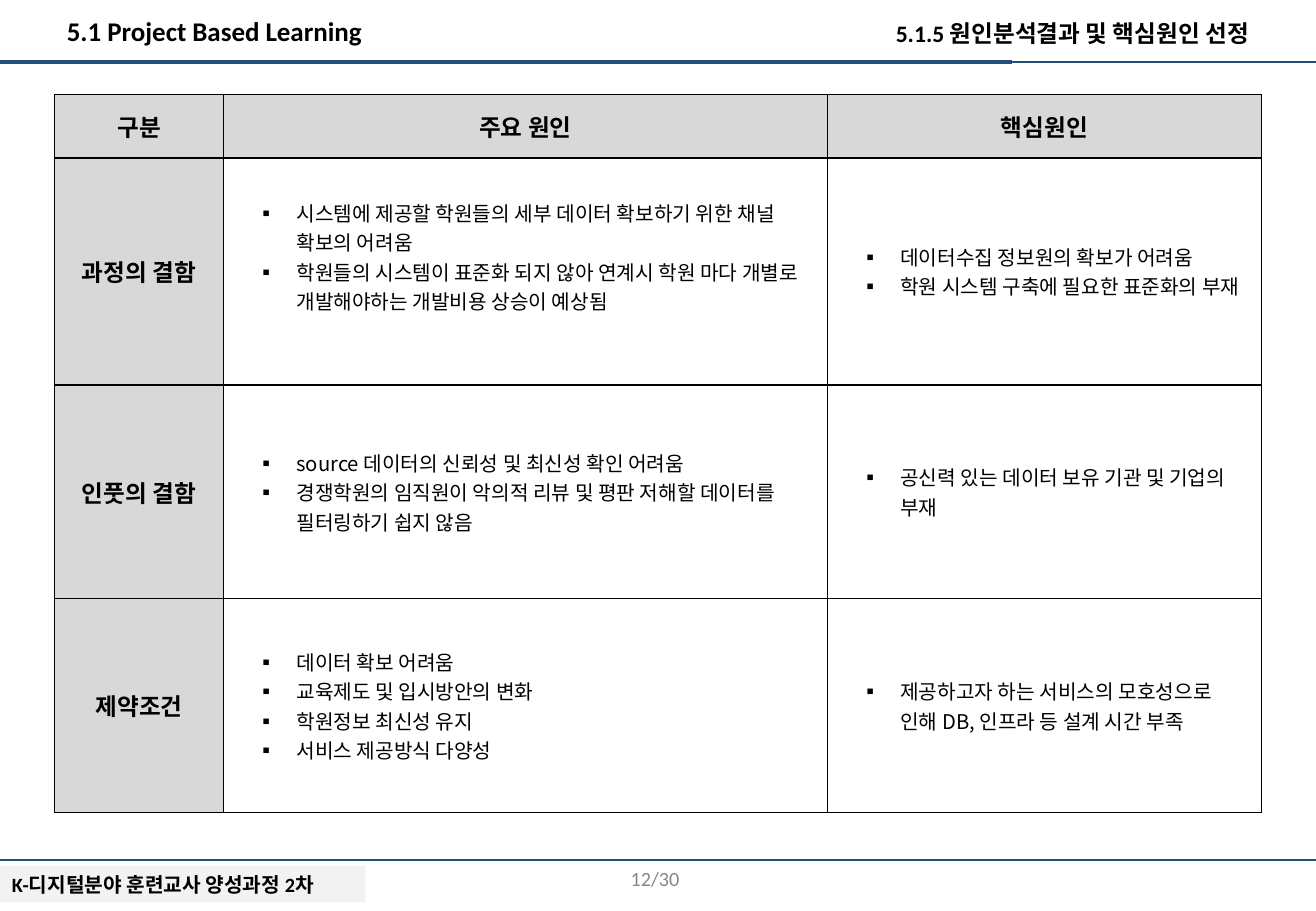
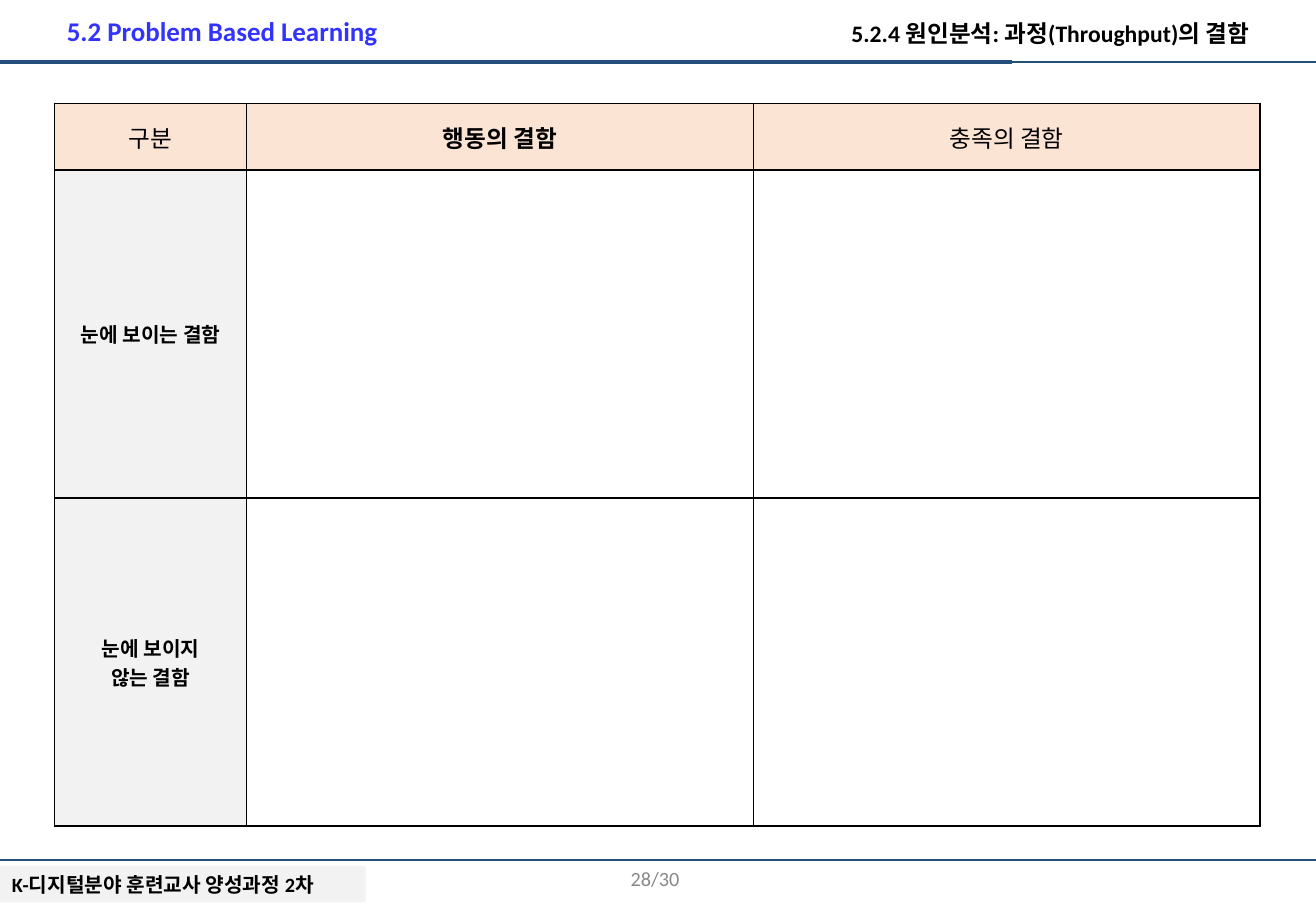
from lxml import etree
from pptx import Presentation
from pptx.dml.color import RGBColor
from pptx.enum.shapes import MSO_CONNECTOR, MSO_SHAPE
from pptx.enum.text import MSO_ANCHOR, MSO_AUTO_SIZE, PP_ALIGN
from pptx.oxml.ns import qn
from pptx.util import Inches, Pt

LEFT, MID, RIGHT = PP_ALIGN.LEFT, PP_ALIGN.CENTER, PP_ALIGN.RIGHT
TOP, MIDDLE = MSO_ANCHOR.TOP, MSO_ANCHOR.MIDDLE
NO_FIT = MSO_AUTO_SIZE.NONE
RECT, STRAIGHT = MSO_SHAPE.RECTANGLE, MSO_CONNECTOR.STRAIGHT

BLACK = RGBColor(0x00, 0x00, 0x00)
WHITE = RGBColor(0xFF, 0xFF, 0xFF)
NAVY = RGBColor(0x24, 0x4F, 0x7A)
BLUE = RGBColor(0x33, 0x33, 0xFF)
GRAY = RGBColor(0x88, 0x88, 0x88)
SILVER = RGBColor(0xD8, 0xD8, 0xD8)
PALE = RGBColor(0xF2, 0xF2, 0xF2)
PEACH = RGBColor(0xFB, 0xE4, 0xD4)

LATIN, HEAD, KOREAN = "Calibri", "Arial", "Noto Sans CJK KR"
WIDTH, HEIGHT = 10.83, 7.5
EDGE = 0.45
COURSE = "K-디지털분야 훈련교사 양성과정 2차"
PAGES = 30


class Deck:
    """Holds the style and the current slide."""

    def __init__(self):
        self.prs = Presentation()
        self.prs.slide_width = Inches(WIDTH)
        self.prs.slide_height = Inches(HEIGHT)
        self.slide = None

    def start(self, title, topic, page, color=BLACK):
        """Open a slide with its header and footer."""
        self.slide = self.prs.slides.add_slide(self.prs.slide_layouts[5])

        # Footer band and rules
        band = self.slide.shapes.add_shape(
            RECT, 0, Inches(7.13), Inches(3.01), Inches(0.3))
        band.shadow.inherit = False
        band.fill.solid()
        band.fill.fore_color.rgb = PALE
        band.line.fill.background()
        self.set_text(band.text_frame, COURSE, 12, bold=True)
        self.rule(0.51, WIDTH, 0.75)
        self.rule(0.51, 8.33, 2.5)
        self.rule(7.08, WIDTH, 0.75)

        # Title, topic and page number
        head = self.slide.shapes.title
        head.left, head.top = Inches(EDGE), Inches(0.07)
        head.width, head.height = Inches(3.29), Inches(0.37)
        self.set_text(head.text_frame, title, 16, color=color, bold=True)
        self.label(topic, 6.46, 0.11, 3.92, 0.34, 14, bold=True)
        self.label(f"{page}/{PAGES}", 3.25, 7.03, 2.44, 0.4, 12,
                   color=GRAY, anchor=MIDDLE)

    def rule(self, y, end, weight):
        line = self.slide.shapes.add_connector(
            STRAIGHT, 0, Inches(y), Inches(end), Inches(y))
        line.line.color.rgb = NAVY
        line.line.width = Pt(weight)
        etree.SubElement(line._element.spPr, qn("a:effectLst"))

    def label(self, text, x, y, w, h, size, **style):
        box = self.slide.shapes.add_textbox(
            Inches(x), Inches(y), Inches(w), Inches(h))
        self.set_text(box.text_frame, text, size, align=RIGHT, **style)

    def set_text(self, frame, text, size, color=BLACK, bold=False,
                 align=LEFT, anchor=TOP):
        frame.word_wrap = True
        frame.auto_size = NO_FIT
        frame.vertical_anchor = anchor
        frame.text = text
        self.style(frame, size, LATIN, color, bold, align)

    def style(self, frame, size, face, color, bold, align):
        for para in frame.paragraphs:
            para.alignment = align
            for run in para.runs:
                font = run.font
                font.size, font.bold, font.name = Pt(size), bold, face
                font.color.rgb = color
                asian = etree.SubElement(run._r.get_or_add_rPr(), qn("a:ea"))
                asian.set("typeface", KOREAN)

    def table(self, y, cols, rows):
        """Add an empty bordered grid and return it."""
        grid = self.slide.shapes.add_table(
            len(rows), len(cols), Inches(EDGE), Inches(y),
            Inches(sum(cols)), Inches(sum(rows))).table
        grid.first_row = grid.horz_banding = False
        for col, size in zip(grid.columns, cols):
            col.width = Inches(size)
        for row, size in zip(grid.rows, rows):
            row.height = Inches(size)
        for cell in grid.iter_cells():
            self.border(cell)
            self.paint(cell, WHITE)
            cell.vertical_anchor = MIDDLE
        return grid

    def border(self, cell):
        props = cell._tc.get_or_add_tcPr()
        for side in ("lnL", "lnR", "lnT", "lnB"):
            line = etree.SubElement(props, qn("a:" + side), w=str(Pt(1)))
            fill = etree.SubElement(line, qn("a:solidFill"))
            etree.SubElement(fill, qn("a:srgbClr"), val=str(BLACK))

    def paint(self, cell, color):
        cell.fill.solid()
        cell.fill.fore_color.rgb = color

    def heading(self, cell, text, fill, size=14, bold=True):
        self.paint(cell, fill)
        cell.text_frame.text = text
        self.style(cell.text_frame, size, HEAD, BLACK, bold, MID)

    def bullets(self, cell, items):
        cell.text_frame.text = "\n".join(items)
        self.style(cell.text_frame, 12, KOREAN, BLACK, False, LEFT)
        for para in cell.text_frame.paragraphs:
            props = para._p.get_or_add_pPr()
            props.set("marL", str(Inches(0.5)))
            props.set("indent", str(Inches(-0.33)))
            tint = etree.SubElement(props, qn("a:buClr"))
            etree.SubElement(tint, qn("a:srgbClr"), val=str(BLACK))
            etree.SubElement(props, qn("a:buFont"), typeface=KOREAN)
            etree.SubElement(props, qn("a:buChar"), char="▪")


def causes(deck):
    deck.start("5.1 Project Based Learning",
               "5.1.5 원인분석결과 및 핵심원인 선정", 12)
    grid = deck.table(0.78, [1.39, 4.97, 3.57], [0.52, 1.87, 1.76, 1.76])
    for col, name in enumerate(["구분", "주요 원인", "핵심원인"]):
        deck.heading(grid.cell(0, col), name, SILVER)

    # Row name, main causes, key causes
    rows = [
        ("과정의 결함",
         ["시스템에 제공할 학원들의 세부 데이터 확보하기 위한 채널 확보의 어려움",
          "학원들의 시스템이 표준화 되지 않아 연계시 학원 마다 개별로 "
          "개발해야하는 개발비용 상승이 예상됨"],
         ["데이터수집 정보원의 확보가 어려움",
          "학원 시스템 구축에 필요한 표준화의 부재"]),
        ("인풋의 결함",
         ["source 데이터의 신뢰성 및 최신성 확인 어려움",
          "경쟁학원의 임직원이 악의적 리뷰 및 평판 저해할 데이터를 "
          "필터링하기 쉽지 않음"],
         ["공신력 있는 데이터 보유 기관 및 기업의 부재"]),
        ("제약조건",
         ["데이터 확보 어려움", "교육제도 및 입시방안의 변화",
          "학원정보 최신성 유지", "서비스 제공방식 다양성"],
         ["제공하고자 하는 서비스의 모호성으로 인해 DB, 인프라 등 "
          "설계 시간 부족"]),
    ]
    for row, (name, main_items, key_items) in enumerate(rows, 1):
        deck.heading(grid.cell(row, 0), name, SILVER)
        deck.bullets(grid.cell(row, 1), main_items)
        deck.bullets(grid.cell(row, 2), key_items)
    # The first list sits a little above the middle
    grid.cell(1, 1).margin_bottom = Inches(0.29)


def defects(deck):
    deck.start("5.2 Problem Based Learning",
               "5.2.4 원인분석: 과정(Throughput)의 결함", 28, BLUE)
    grid = deck.table(0.85, [1.58, 4.17, 4.17], [0.55, 2.7, 2.7])
    for col, name in enumerate(["구분", "행동의 결함", "충족의 결함"]):
        deck.heading(grid.cell(0, col), name, PEACH, bold=col == 1)
    for row, name in enumerate(["눈에 보이는 결함", "눈에 보이지\n않는 결함"], 1):
        deck.heading(grid.cell(row, 0), name, PALE, size=12)


def main():
    deck = Deck()
    causes(deck)
    defects(deck)
    deck.prs.save("out.pptx")


if __name__ == "__main__":
    main()
